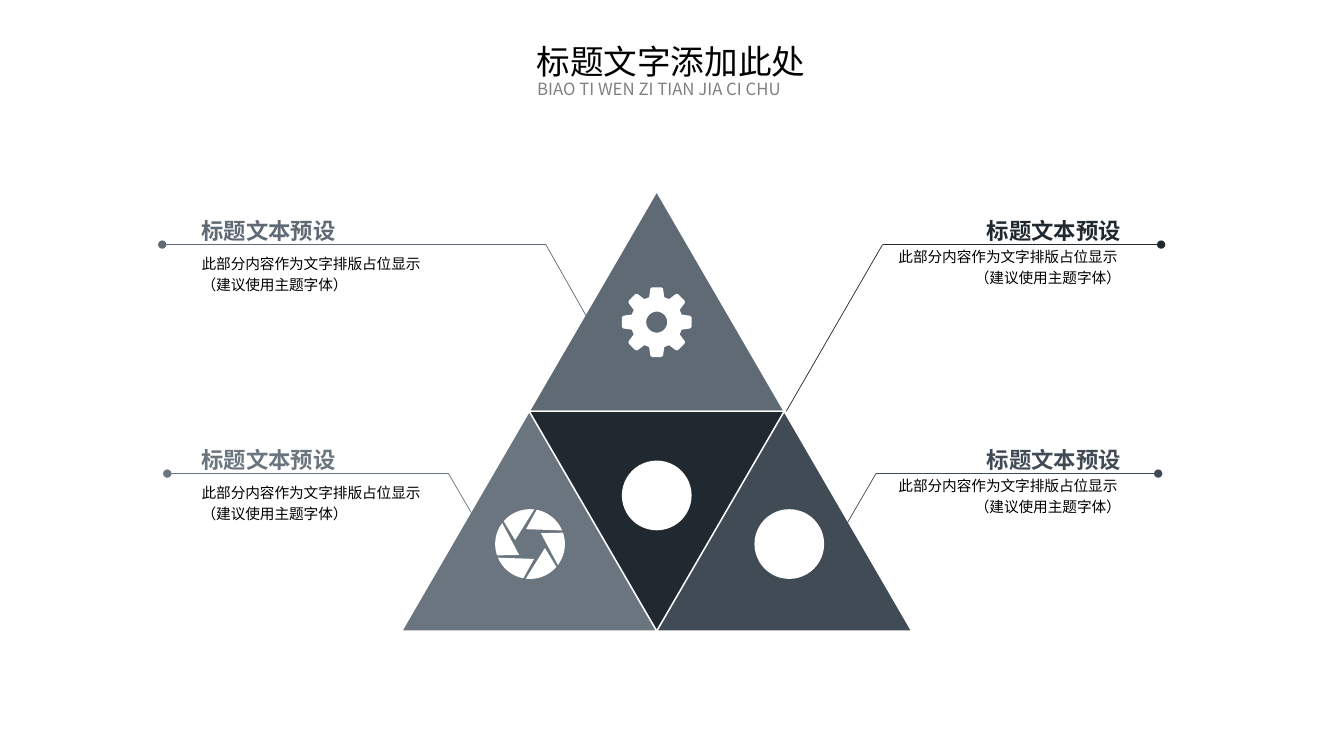
import math

import pptx
import pptx.dml.color
import pptx.enum.shapes
import pptx.enum.text
import pptx.oxml
import pptx.oxml.ns
import pptx.util

Pt = pptx.util.Pt
RGB = pptx.dml.color.RGBColor.from_string
Align = pptx.enum.text.PP_ALIGN
Anchor = pptx.enum.text.MSO_ANCHOR
Shape = pptx.enum.shapes.MSO_SHAPE
FONT = "Noto Sans CJK SC"
COLORS = {
    "slate": "606A74", "ink": "212930", "steel": "6A757F", "graphite": "414B56",
    "white": "FFFFFF", "black": "000000", "gray": "808080",
}


def write(box, lines, size, color, align=Align.LEFT, anchor=Anchor.MIDDLE,
          margins=(0, 0), spacing=None, bold=False):
    """Fill a text box with one paragraph; margins are left and right."""
    frame = box.text_frame
    frame.word_wrap = True
    frame.auto_size = pptx.enum.text.MSO_AUTO_SIZE.NONE
    frame.vertical_anchor = anchor
    frame.margin_left, frame.margin_right = Pt(margins[0]), Pt(margins[1])
    frame.margin_top = frame.margin_bottom = 0
    para = frame.paragraphs[0]
    para.alignment = align
    para.line_spacing = spacing
    for number, line in enumerate(lines):
        if number:
            para.add_line_break()
        span = para.add_run()
        span.text = line
        span.font.name = FONT
        span.font.size = Pt(size)
        span.font.bold = bold
        span.font.color.rgb = RGB(COLORS[color])
        east_asian = pptx.oxml.ns.qn("a:ea")
        span.font._element.makeelement(east_asian)
        latin = span.font._element.find(pptx.oxml.ns.qn("a:latin"))
        latin.addnext(latin.makeelement(east_asian, {"typeface": FONT}))


def draw_icon(center_x, center_y, contours):
    """Draw white closed outlines given as points around a center."""
    builder = None
    for contour in contours:
        points = [(Pt(center_x + x), Pt(center_y + y)) for x, y in contour]
        if builder is None:
            builder = page.shapes.build_freeform(*points[0], scale=1.0)
        else:
            builder.move_to(*points[0])
        builder.add_line_segments(points[1:], close=True)
    icon = builder.convert_to_shape()
    icon.shadow.inherit = False
    icon.fill.solid()
    icon.fill.fore_color.rgb = RGB(COLORS["white"])
    icon.line.fill.background()


deck = pptx.Presentation()
deck.slide_width, deck.slide_height = Pt(960), Pt(540)
page = deck.slides.add_slide(deck.slide_layouts[5])

# Heading
title = page.shapes.title
title.left, title.top, title.width, title.height = Pt(376), Pt(25.2), Pt(208), Pt(36.4)
write(title, ["标题文字添加此处"], 24, "black", margins=(7.2, 0))
subtitle = page.shapes.add_textbox(Pt(376.6), Pt(52.6), Pt(204), Pt(21.8))
write(subtitle, ["BIAO TI WEN ZI TIAN JIA CI CHU"], 12, "gray",
      align=Align.JUSTIFY, margins=(7.2, 7.2))

# Pyramid of four triangles
SIDE, HEIGHT = 182.2, 157
CENTER_X, PYRAMID_TOP = 469.1, 136.8
for column, row, color, turn in [
    (0, 0, "slate", 0), (0, 1, "ink", 180),
    (-0.5, 1, "steel", 0), (0.5, 1, "graphite", 0),
]:
    triangle = page.shapes.add_shape(
        Shape.ISOSCELES_TRIANGLE,
        Pt(CENTER_X + (column - 0.5) * SIDE), Pt(PYRAMID_TOP + row * HEIGHT),
        Pt(SIDE), Pt(HEIGHT))
    triangle.rotation = turn
    triangle.shadow.inherit = False
    triangle.fill.solid()
    triangle.fill.fore_color.rgb = RGB(COLORS[color])
    triangle.line.color.rgb = RGB(COLORS["white"])
    triangle.line.width = Pt(1)

# Icons
RADIUS = 24.9
ICON_Y = 388.6
for disc_x, disc_y in [(CENTER_X, 353.9), (CENTER_X + SIDE / 2 + 3.6, ICON_Y)]:
    disc = page.shapes.add_shape(
        Shape.OVAL, Pt(disc_x - RADIUS), Pt(disc_y - RADIUS),
        Pt(2 * RADIUS), Pt(2 * RADIUS))
    disc.shadow.inherit = False
    disc.fill.solid()
    disc.fill.fore_color.rgb = RGB(COLORS["white"])
    disc.line.fill.background()

tooth = [(-5.4, -17.8), (-4.5, -24), (-3.3, -24.9), (3.3, -24.9), (4.5, -24), (5.4, -17.8)]
gear = []
for step in range(8):
    cosine, sine = math.cos(step * math.pi / 4), math.sin(step * math.pi / 4)
    gear += [(x * cosine - y * sine, x * sine + y * cosine) for x, y in tooth]
hub = [(7.5 * math.cos(math.radians(angle)), 7.5 * math.sin(math.radians(angle)))
       for angle in range(0, 360, 10)]
draw_icon(CENTER_X, 230.1, [gear, hub])

blades = []
for start in range(0, 360, 60):
    corners = [(RADIUS, angle) for angle in range(-139, -82, 4)] + [(11, -165)]
    blades.append([(reach * math.cos(math.radians(start + angle)),
                    reach * math.sin(math.radians(start + angle)))
                   for reach, angle in corners])
draw_icon(CENTER_X - SIDE / 2 + 0.6, ICON_Y, blades)

# Callouts: leader from the triangle to an elbow, then out to a dot
TEXT_WIDTH, INDENT = 229, 28.1
for color, line_y, foot, elbow_x, dot_x, on_right in [
    ("slate", 174.7, (419, 226.1), 389.9, 115.9, False),
    ("ink", 174.7, (561.6, 293.8), 630.4, 829.4, True),
    ("steel", 338.3, (343.4, 378), 320.4, 119.5, False),
    ("graphite", 338.3, (602.6, 378), 625.7, 827.3, True),
]:
    for begin, end in [(foot, (elbow_x, line_y)), ((elbow_x, line_y), (dot_x, line_y))]:
        leader = page.shapes.add_connector(
            pptx.enum.shapes.MSO_CONNECTOR.STRAIGHT,
            Pt(begin[0]), Pt(begin[1]), Pt(end[0]), Pt(end[1]))
        leader.line.color.rgb = RGB(COLORS[color])
        leader.line.width = Pt(0.5)
        properties = leader._element.spPr
        properties.append(properties.makeelement(pptx.oxml.ns.qn("a:effectLst")))
    outline = leader.line._get_or_add_ln()
    outline.append(outline.makeelement(pptx.oxml.ns.qn("a:tailEnd"), {"type": "oval"}))

    text_x = 599.8 if on_right else 115.9
    align = Align.RIGHT if on_right else Align.LEFT
    margins = (0, INDENT) if on_right else (INDENT, 0)
    heading = page.shapes.add_textbox(Pt(text_x), Pt(line_y - 20), Pt(TEXT_WIDTH), Pt(19.4))
    write(heading, ["标题文本预设"], 16, color, align, margins=margins, bold=True)
    body = page.shapes.add_textbox(Pt(text_x), Pt(line_y - 0.5), Pt(TEXT_WIDTH), Pt(41))
    write(body, ["此部分内容作为文字排版占位显示 ", "（建议使用主题字体）"], 10.5, "black",
          align, Anchor.TOP if on_right else Anchor.MIDDLE, margins, spacing=1.2)

deck.save("out.pptx")
